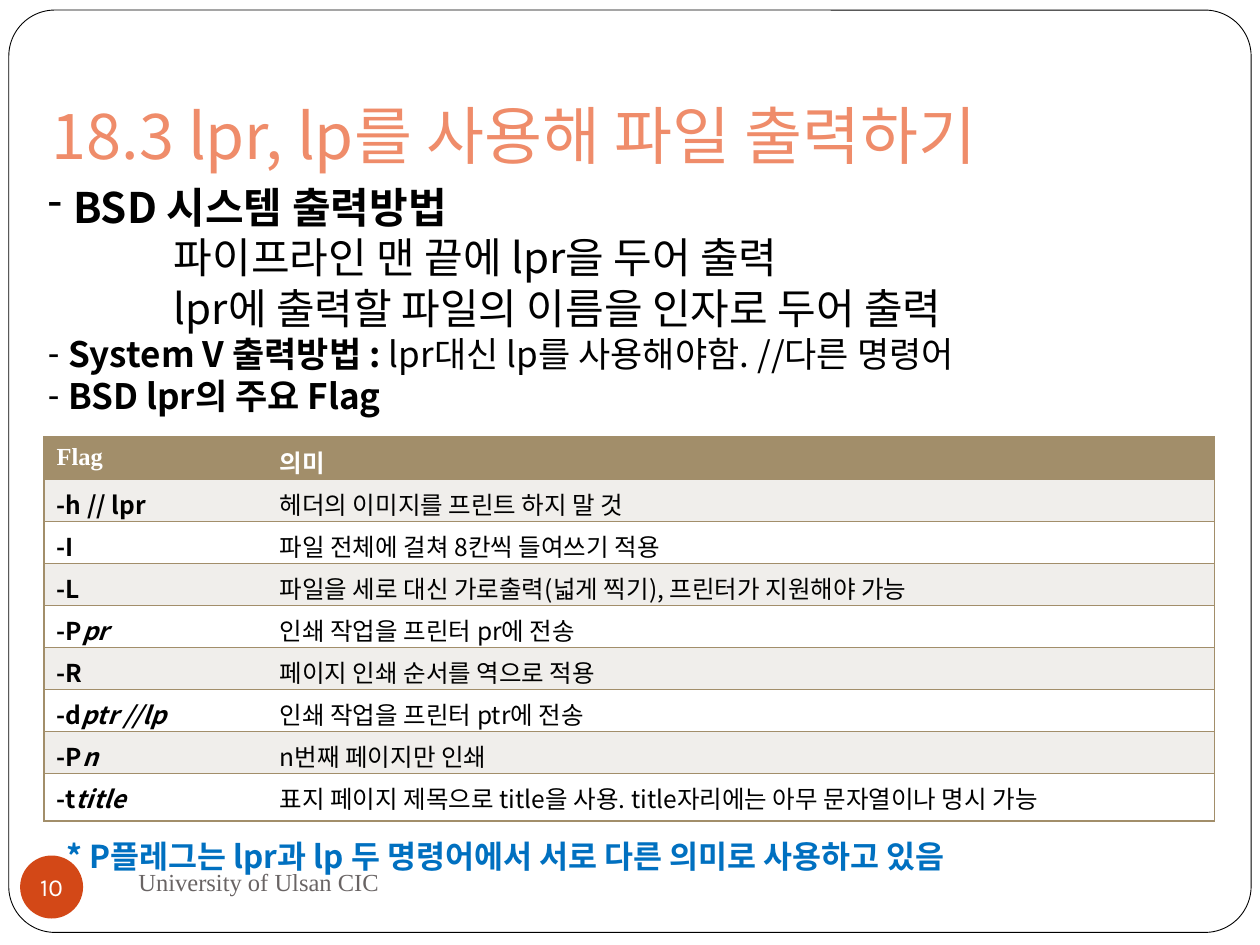
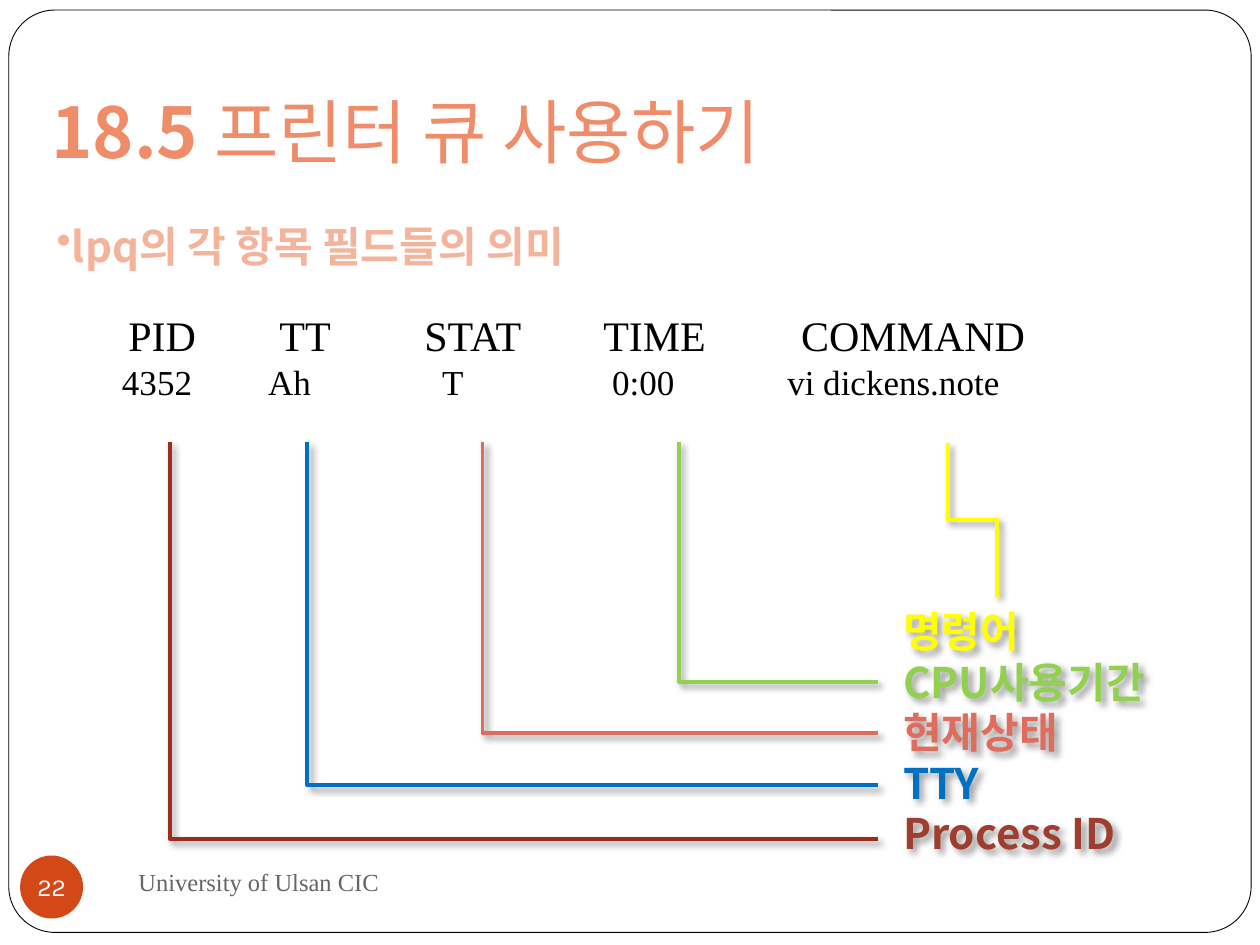
from dataclasses import dataclass

from lxml.etree import SubElement
from pptx import Presentation
from pptx.dml.color import RGBColor
from pptx.enum.shapes import MSO_CONNECTOR as Connector, MSO_SHAPE as Shape
from pptx.enum.text import MSO_ANCHOR as Anchor, MSO_AUTO_SIZE as AutoSize, PP_ALIGN as Align
from pptx.oxml.ns import qn
from pptx.util import Inches, Pt


@dataclass(frozen=True)
class Theme:
    korean: str = "Noto Sans CJK KR"
    serif: str = "Times New Roman"
    badge_font: str = "Karla"
    white: str = "FFFFFF"
    black: str = "000000"
    title: str = "EF8C6A"
    subtitle: str = "F4B39B"
    footer: str = "696464"
    badge: str = "D34817"
    table: str = "A28E6A"
    stripe: str = "F0EEEB"
    blue: str = "0070C0"
    green: str = "92D050"
    coral: str = "DF6C5D"
    yellow: str = "FFFF00"
    brick: str = "9B2D1F"
    brick_label: str = "9E3E2E"
    title_large: int = 40
    title_small: int = 36
    large: int = 24
    medium: int = 20
    note: int = 18
    small: int = 14


THEME = Theme()


@dataclass(frozen=True)
class Span:
    text: str
    size: int = THEME.large
    bold: bool = False
    italic: bool = False
    color: str = THEME.black
    font: str = THEME.korean


@dataclass(frozen=True)
class Line:
    spans: tuple[Span, ...]
    bullet: str = ""
    left: float = 0
    hanging: float = 0
    align: Align = Align.LEFT


@dataclass(frozen=True)
class Box:
    left: float
    top: float
    width: float
    height: float

    def lengths(self) -> tuple:
        return tuple(Inches(value) for value in (self.left, self.top, self.width, self.height))


@dataclass(frozen=True)
class Flag:
    name: str
    argument: str
    meaning: str


@dataclass(frozen=True)
class Field:
    heading: str
    value: str
    label: str
    heading_x: float
    value_x: float
    color: str
    label_color: str
    line_x: float
    line_y: float


FLAGS = (
    Flag("-h // lpr", "", "헤더의 이미지를 프린트 하지 말 것"),
    Flag("-I", "", "파일 전체에 걸쳐 8칸씩 들여쓰기 적용"),
    Flag("-L", "", "파일을 세로 대신 가로출력(넓게 찍기), 프린터가 지원해야 가능"),
    Flag("-P", "pr", "인쇄 작업을 프린터 pr에 전송"),
    Flag("-R", "", "페이지 인쇄 순서를 역으로 적용"),
    Flag("-d", "ptr //lp", "인쇄 작업을 프린터 ptr에 전송"),
    Flag("-P", "n", "n번째 페이지만 인쇄"),
    Flag("-t", "title", "표지 페이지 제목으로 title을 사용. title자리에는 아무 문자열이나 명시 가능"),
)

LINE_TOP = 3.51
LINE_END = 6.97
TEXT_INSET = 0.1
FIELDS = (
    Field("PID", "4352", "Process ID", 1.02, 0.97, THEME.brick, THEME.brick_label, 1.35, 6.66),
    Field("TT", "Ah", "TTY", 2.22, 2.13, THEME.blue, THEME.blue, 2.44, 6.23),
    Field("STAT", "T", "현재상태", 3.37, 3.51, THEME.coral, THEME.coral, 3.83, 5.82),
    Field("TIME", "0:00", "CPU사용기간", 4.79, 4.86, THEME.green, THEME.green, 5.39, 5.41),
    Field("COMMAND", "vi dickens.note", "명령어", 6.36, 6.25, THEME.yellow, THEME.yellow, 7.52, 4.73),
)


def rgb(color: str) -> RGBColor:
    return RGBColor.from_string(color)


def write_lines(text_frame, lines: list[Line]) -> None:
    text_frame.text = "\n".join("" for _ in lines)
    for paragraph, line in zip(text_frame.paragraphs, lines):
        properties = paragraph._p.get_or_add_pPr()
        properties.set("marL", str(Inches(line.left)))
        properties.set("indent", str(Inches(-line.hanging)))
        if line.bullet:
            SubElement(properties, qn("a:buFontTx"))
            SubElement(properties, qn("a:buChar")).set("char", line.bullet)
        else:
            SubElement(properties, qn("a:buNone"))
        paragraph.alignment = line.align
        paragraph.space_before = Pt(0)
        for span in line.spans:
            run = paragraph.add_run()
            run.text = span.text
            font = run.font
            font.size, font.bold, font.italic = Pt(span.size), span.bold, span.italic
            font.color.rgb = rgb(span.color)
            font.name = span.font
            SubElement(run._r.get_or_add_rPr(), qn("a:ea")).set("typeface", THEME.korean)


def add_text(slide, box: Box, lines: list[Line], wrap: bool = True, anchor: Anchor = Anchor.TOP):
    shape = slide.shapes.add_textbox(*box.lengths())
    shape.text_frame.word_wrap = wrap
    shape.text_frame.vertical_anchor = anchor
    write_lines(shape.text_frame, lines)
    return shape


def fill_placeholder(placeholder, box: Box, lines: list[Line], anchor: Anchor = Anchor.TOP) -> None:
    placeholder.left, placeholder.top, placeholder.width, placeholder.height = box.lengths()
    text_frame = placeholder.text_frame
    text_frame.auto_size = AutoSize.NONE
    text_frame.vertical_anchor = anchor
    write_lines(text_frame, lines)


def add_base_slide(presentation, number: int, title: tuple[Span, ...], body_box: Box, body: list[Line]):
    slide = presentation.slides.add_slide(presentation.slide_layouts[1])
    frame = slide.shapes.add_shape(Shape.ROUNDED_RECTANGLE, *Box(0.07, 0.08, 9.86, 7.32).lengths())
    frame.adjustments[0] = 0.05
    frame.shadow.inherit = False
    frame.fill.solid()
    frame.fill.fore_color.rgb = rgb(THEME.white)
    frame.line.color.rgb = rgb(THEME.black)
    frame.line.width = Pt(0.5)
    frame.element.getparent().insert(2, frame.element)

    fill_placeholder(slide.shapes.title, Box(0.2, 0.22, 8.17, 1.25), [Line(title)], Anchor.BOTTOM)
    slide.shapes.title.text_frame.margin_left = Inches(0.21)
    slide.shapes.title.text_frame.margin_bottom = Inches(0.1)
    fill_placeholder(slide.placeholders[1], body_box, body)

    footer = Span("University of Ulsan CIC", THEME.small, color=THEME.footer, font=THEME.serif)
    add_text(slide, Box(1, 6.75, 4.33, 0.5), [Line((footer,))], anchor=Anchor.MIDDLE)

    badge = slide.shapes.add_shape(Shape.OVAL, *Box(0.16, 6.79, 0.5, 0.5).lengths())
    badge.shadow.inherit = False
    badge.fill.solid()
    badge.fill.fore_color.rgb = rgb(THEME.badge)
    badge.line.fill.background()
    text_frame = badge.text_frame
    text_frame.word_wrap = False
    text_frame.vertical_anchor = Anchor.MIDDLE
    text_frame.margin_left = text_frame.margin_right = 0
    text_frame.margin_top = text_frame.margin_bottom = 0
    label = Span(str(number), THEME.small, color=THEME.white, font=THEME.badge_font)
    write_lines(text_frame, [Line((label,), align=Align.CENTER)])
    return slide


def add_shadow(shape) -> None:
    effects = SubElement(shape.element.spPr, qn("a:effectLst"))
    shadow = SubElement(effects, qn("a:outerShdw"))
    for name, value in (("blurRad", Pt(4)), ("dist", Pt(3)), ("dir", 45 * 60000)):
        shadow.set(name, str(value))
    color = SubElement(shadow, qn("a:srgbClr"))
    color.set("val", THEME.black)
    SubElement(color, qn("a:alpha")).set("val", "40000")


def add_elbow(slide, begin: tuple[float, float], end: tuple[float, float], color: str):
    points = (Inches(value) for value in (*begin, *end))
    connector = slide.shapes.add_connector(Connector.ELBOW, *points)
    connector.line.color.rgb = rgb(color)
    connector.line.width = Pt(2.25)
    add_shadow(connector)
    return connector


def set_corner_at_start(connector) -> None:
    adjustments = connector.element.spPr.find(qn("a:prstGeom")).get_or_add_avLst()
    guide = SubElement(adjustments, qn("a:gd"))
    guide.set("name", "adj1")
    guide.set("fmla", "val 0")


def format_cell(cell, spans: tuple[Span, ...], color: str, open_side: str) -> None:
    cell.margin_bottom = 0
    write_lines(cell.text_frame, [Line(spans)])
    properties = cell._tc.get_or_add_tcPr()
    for side in ("lnL", "lnR", "lnT", "lnB"):
        border = SubElement(properties, qn(f"a:{side}"))
        border.set("w", str(Pt(1)))
        if side == open_side:
            SubElement(border, qn("a:noFill"))
        else:
            fill = SubElement(border, qn("a:solidFill"))
            SubElement(fill, qn("a:srgbClr")).set("val", THEME.table)
    cell.fill.solid()
    cell.fill.fore_color.rgb = rgb(color)


def add_flag_table(slide) -> None:
    box = Box(0.35, 3.47, 9.29, 3.05)
    last_height = 0.38
    table = slide.shapes.add_table(len(FLAGS) + 1, 2, *box.lengths()).table
    for column, width in zip(table.columns, (1.77, 7.52)):
        column.width = Inches(width)
    for row in table.rows:
        row.height = Inches((box.height - last_height) / len(FLAGS))
    table.rows[len(FLAGS)].height = Inches(last_height)

    rows = [tuple((Span(text, THEME.small, True, color=THEME.white, font=THEME.serif),)
                  for text in ("Flag", "의미"))]
    for flag in FLAGS:
        name = [Span(flag.name, THEME.small, True)]
        if flag.argument:
            name.append(Span(flag.argument, THEME.small, True, True))
        rows.append((tuple(name), (Span(flag.meaning, THEME.small),)))
    for index, row in enumerate(rows):
        color = THEME.table if index == 0 else THEME.stripe if index % 2 else THEME.white
        for column, (spans, open_side) in enumerate(zip(row, ("lnR", "lnL"))):
            format_cell(table.cell(index, column), spans, color, open_side)


def build_print_slide(presentation) -> None:
    body = [
        Line((Span("BSD 시스템 출력방법", bold=True),), "-", 0.2, 0.2),
        Line((Span("파이프라인 맨 끝에 lpr을 두어 출력"),), left=1),
        Line((Span("lpr에 출력할 파일의 이름을 인자로 두어 출력"),), left=1),
        Line((Span("System V 출력방법 : ", THEME.medium, True),
              Span("lpr대신 lp를 사용해야함. //다른 명령어", THEME.medium)), "-", 0.16, 0.16),
        Line((Span("BSD lpr의 주요 Flag", THEME.medium, True),), "-", 0.16, 0.16),
    ]
    title = (Span("18.3 lpr, lp를 사용해 파일 출력하기", THEME.title_small, color=THEME.title),)
    slide = add_base_slide(presentation, 10, title, Box(0.28, 1.39, 9.45, 1.99), body)
    add_flag_table(slide)
    note = Span("* P플레그는 lpr과 lp 두 명령어에서 서로 다른 의미로 사용하고 있음",
                THEME.note, True, color=THEME.blue)
    add_text(slide, Box(0.43, 6.59, 7.94, 0.4), [Line((note,))], wrap=False)


def add_field_column(slide, field: Field) -> None:
    left = min(field.heading_x, field.value_x)
    add_text(slide, Box(left - TEXT_INSET, 2.41, 2.2, 0.84), [
        Line((Span(field.heading, font=THEME.serif),), left=field.heading_x - left),
        Line((Span(field.value, THEME.medium, font=THEME.serif),), left=field.value_x - left),
    ])


def build_queue_slide(presentation) -> None:
    title = (Span("18.5 ", THEME.title_large, True, color=THEME.title),
             Span("프린터 큐 사용하기", THEME.title_large, color=THEME.title))
    subtitle = Span("lpq의 각 항목 필드들의 의미", bold=True, color=THEME.subtitle)
    slide = add_base_slide(presentation, 22, title, Box(0.35, 1.7, 9.45, 0.5),
                           [Line((subtitle,), "•", 0.12, 0.12)])
    for field in FIELDS:
        add_field_column(slide, field)

    *cornered, command = FIELDS
    for field in cornered:
        elbow = add_elbow(slide, (field.line_x, LINE_TOP), (LINE_END, field.line_y), field.color)
        set_corner_at_start(elbow)
    step = add_elbow(slide, (8.33, 3.93), (7.11, 4.32), command.color)
    step.rotation = 270

    labels = [Line((Span(field.label, bold=True, color=field.label_color),))
              for field in reversed(FIELDS)]
    add_shadow(add_text(slide, Box(7.07, 4.76, 2.26, 2.12), labels))


def main() -> None:
    presentation = Presentation()
    presentation.slide_width = Inches(10)
    presentation.slide_height = Inches(7.5)
    build_print_slide(presentation)
    build_queue_slide(presentation)
    presentation.save("out.pptx")


if __name__ == "__main__":
    main()
